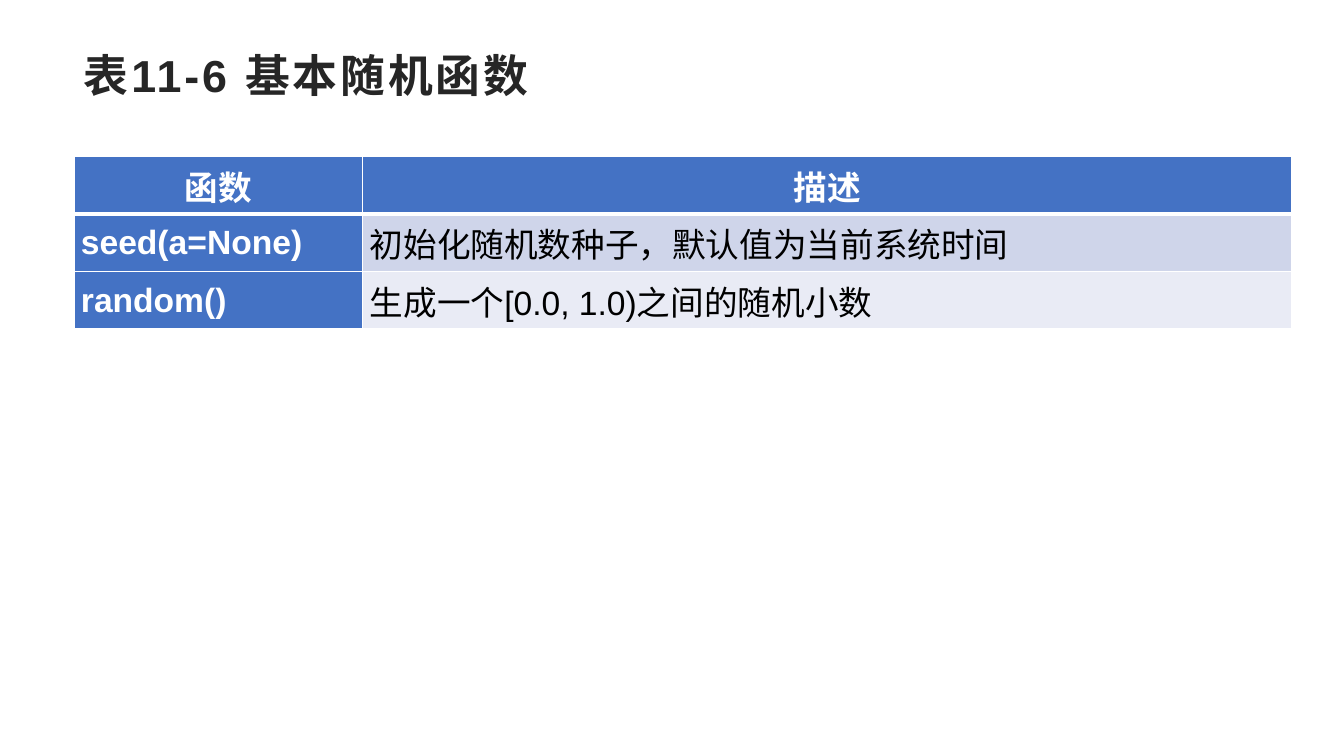
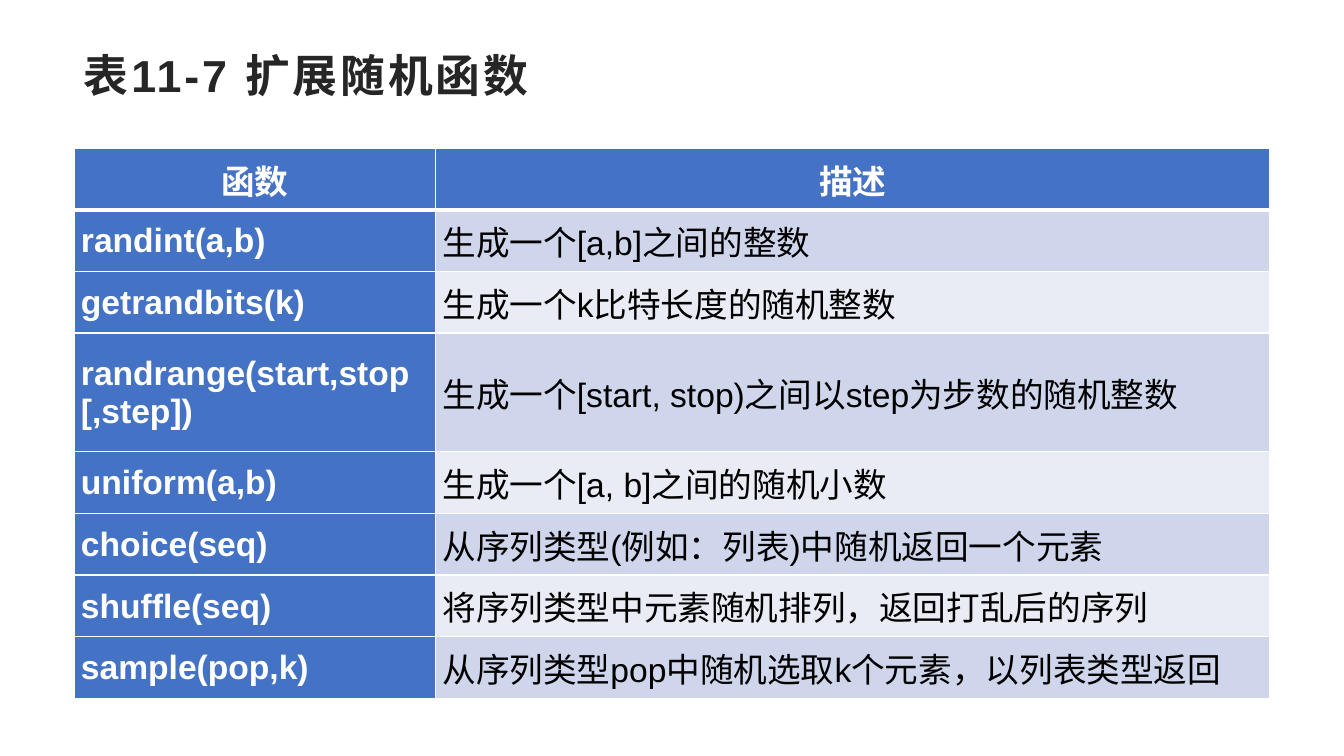
"""Build two slides that list the random functions in tables."""

from dataclasses import dataclass

from lxml import etree
from pptx import Presentation
from pptx.dml.color import RGBColor
from pptx.enum.text import MSO_ANCHOR, PP_ALIGN
from pptx.oxml.ns import qn
from pptx.slide import Slide
from pptx.table import _Cell
from pptx.text.text import _Paragraph, _Run
from pptx.util import Inches, Pt

CENTER, JUSTIFY = PP_ALIGN.CENTER, PP_ALIGN.JUSTIFY
TOP, MIDDLE = MSO_ANCHOR.TOP, MSO_ANCHOR.MIDDLE

WIDE, HIGH = Inches(13.33), Inches(7.5)
LEFT, SPAN = 5.5, 89
FONT = "Arial"
WHITE = RGBColor(0xFF, 0xFF, 0xFF)
BLACK = RGBColor(0, 0, 0)
INK = RGBColor(0x26, 0x26, 0x26)
BLUE = RGBColor(0x44, 0x72, 0xC4)
BANDS = (RGBColor(0xE9, 0xEB, 0xF5), RGBColor(0xCF, 0xD5, 0xEA))
THIN, THICK = Pt(1), Pt(3)


@dataclass(frozen=True)
class Entry:
    """One table row, its height counted in plain rows."""

    name: str
    text: str
    tall: float = 1


@dataclass(frozen=True)
class Page:
    """One slide, with lengths in percent of the slide."""

    title: str
    top: float
    cols: tuple[float, float]
    row: float
    items: tuple[Entry, ...]


HEAD = Entry("函数", "描述")
PAGES = (
    Page("表11-6 基本随机函数", 20.7, (21.5, 69.1), 7.6, (
        Entry("seed(a=None)", "初始化随机数种子，默认值为当前系统时间"),
        Entry("random()", "生成一个[0.0, 1.0)之间的随机小数"),
    )),
    Page("表11-7 扩展随机函数", 19.6, (26.9, 62.1), 8.15, (
        Entry("randint(a,b)", "生成一个[a,b]之间的整数"),
        Entry("getrandbits(k)", "生成一个k比特长度的随机整数"),
        Entry("randrange(start,stop [,step])",
              "生成一个[start, stop)之间以step为步数的随机整数", 1.93),
        Entry("uniform(a,b)", "生成一个[a, b]之间的随机小数"),
        Entry("choice(seq)", "从序列类型(例如：列表)中随机返回一个元素"),
        Entry("shuffle(seq)", "将序列类型中元素随机排列，返回打乱后的序列"),
        Entry("sample(pop,k)", "从序列类型pop中随机选取k个元素，以列表类型返回"),
    )),
)


def across(share: float) -> int:
    """Turn a percent of the slide width into a length."""
    return round(WIDE * share / 100)


def down(share: float) -> int:
    """Turn a percent of the slide height into a length."""
    return round(HIGH * share / 100)


def add_run(para: _Paragraph, text: str, size: int, color: RGBColor, bold: bool) -> _Run:
    """Add one styled run to a paragraph."""
    run = para.add_run()
    run.text = text
    run.font.name = FONT
    run.font.size = Pt(size)
    run.font.bold = bold
    run.font.color.rgb = color
    return run


def add_title(slide: Slide, text: str) -> None:
    """Add the slide title with spaced letters."""
    box = slide.shapes.add_textbox(across(LEFT), down(6.4), across(SPAN), down(10.4))
    frame = box.text_frame
    frame.word_wrap = True
    frame.vertical_anchor = TOP
    para = frame.paragraphs[0]
    para.line_spacing = 0.9
    run = add_run(para, text, 32, INK, True)
    run.font._element.set("spc", "200")


def add_edge(cell: _Cell, side: str, width: int) -> None:
    """Draw a white border on one side of a cell."""
    line = etree.SubElement(cell._tc.get_or_add_tcPr(), qn(f"a:ln{side}"), w=str(width))
    fill = etree.SubElement(line, qn("a:solidFill"))
    etree.SubElement(fill, qn("a:srgbClr"), val=str(WHITE))


def fill_cell(cell: _Cell, text: str, row: int, col: int) -> None:
    """Style a cell by its place in the table and write its text."""
    label = row == 0 or col == 0
    cell.margin_left = cell.margin_right = Inches(0.07)
    cell.margin_top, cell.margin_bottom = Inches(0.01), 0
    cell.vertical_anchor = MIDDLE
    widths = {"L": THIN, "R": THIN,
              "T": THICK if row == 1 else THIN,
              "B": THICK if row == 0 else THIN}
    for side, width in widths.items():
        add_edge(cell, side, width)
    cell.fill.solid()
    cell.fill.fore_color.rgb = BLUE if label else BANDS[row % 2]
    para = cell.text_frame.paragraphs[0]
    para.alignment = JUSTIFY if row else CENTER
    add_run(para, text, 24, WHITE if label else BLACK, label)


def add_grid(slide: Slide, page: Page) -> None:
    """Add the table of functions."""
    items = (HEAD, *page.items)
    high = page.row * sum(item.tall for item in items)
    frame = slide.shapes.add_table(
        len(items), len(page.cols), across(LEFT), down(page.top),
        across(sum(page.cols)), down(high))
    table = frame.table
    table.first_row = table.horz_banding = False
    for col, share in zip(table.columns, page.cols):
        col.width = across(share)
    for row, item in enumerate(items):
        table.rows[row].height = down(page.row * item.tall)
        for col, text in enumerate((item.name, item.text)):
            fill_cell(table.cell(row, col), text, row, col)


def main() -> None:
    """Build and save the slides."""
    deck = Presentation()
    deck.slide_width, deck.slide_height = WIDE, HIGH
    for page in PAGES:
        slide = deck.slides.add_slide(deck.slide_layouts[6])
        add_title(slide, page.title)
        add_grid(slide, page)
    deck.save("out.pptx")


if __name__ == "__main__":
    main()
